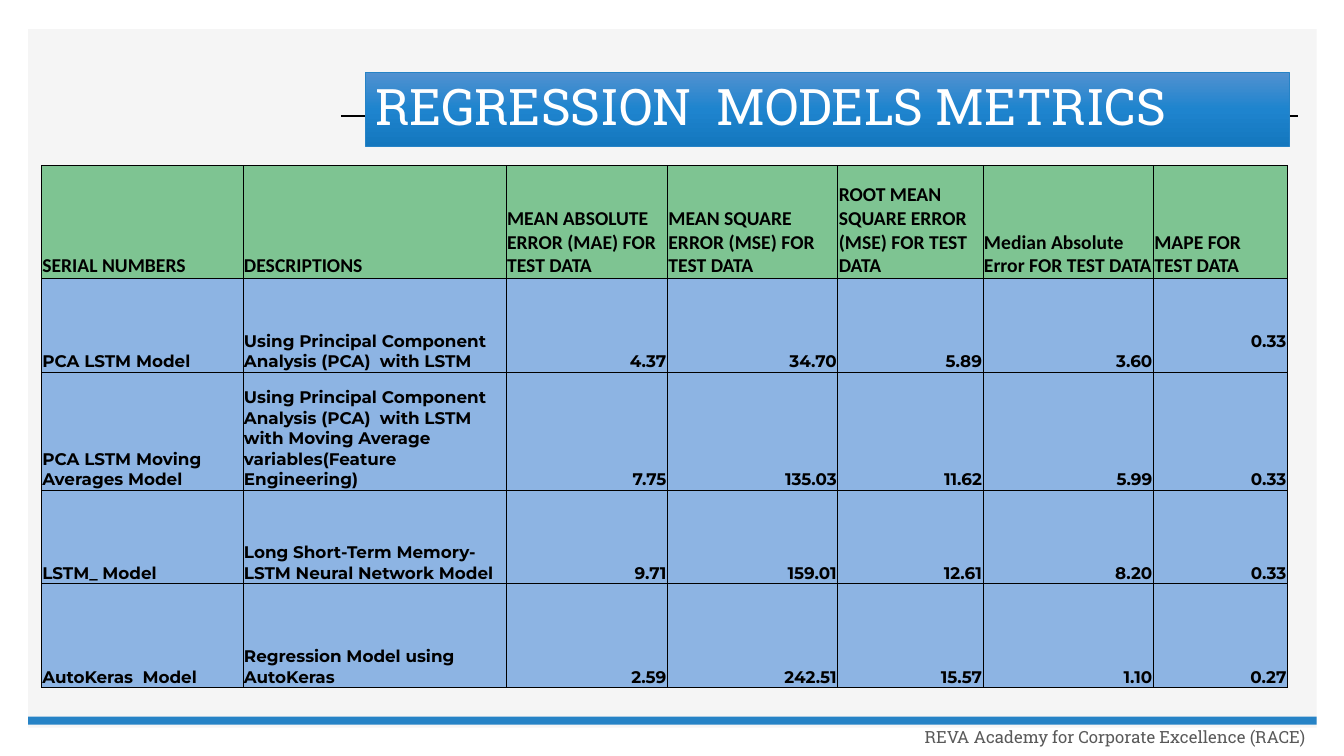
from copy import deepcopy

from lxml import etree
from pptx import Presentation
from pptx.dml.color import RGBColor
from pptx.enum.shapes import MSO_CONNECTOR, MSO_SHAPE
from pptx.enum.text import MSO_ANCHOR, MSO_AUTO_SIZE, PP_ALIGN
from pptx.oxml.ns import qn
from pptx.util import Inches, Pt

LEFT, RIGHT = PP_ALIGN.LEFT, PP_ALIGN.RIGHT
MIDDLE, BOTTOM = MSO_ANCHOR.MIDDLE, MSO_ANCHOR.BOTTOM

BLACK = RGBColor(0x00, 0x00, 0x00)
WHITE = RGBColor(0xFF, 0xFF, 0xFF)
PANEL_GREY = RGBColor(0xF5, 0xF5, 0xF5)
FOOTER_GREY = RGBColor(0x59, 0x59, 0x59)
BLUE = RGBColor(0x26, 0x83, 0xC6)
HEADER_GREEN = RGBColor(0x7E, 0xC4, 0x92)
BODY_BLUE = RGBColor(0x8D, 0xB4, 0xE3)
TITLE_GRADIENT = [
    (0, RGBColor(0x51, 0x91, 0xD0)),
    (0.5, RGBColor(0x1E, 0x84, 0xCE)),
    (1, RGBColor(0x14, 0x77, 0xBE)),
]

TITLE = "REGRESSION  MODELS METRICS"
FOOTER = "REVA Academy for Corporate Excellence (RACE)"
# "\v" is a line break inside a paragraph
METRICS = [
    ("SERIAL NUMBERS", "DESCRIPTIONS",
     "MEAN ABSOLUTE ERROR (MAE) FOR TEST DATA",
     "MEAN SQUARE ERROR (MSE) FOR TEST DATA",
     "ROOT MEAN SQUARE ERROR (MSE) FOR TEST DATA",
     "Median Absolute Error FOR TEST DATA", "MAPE FOR\vTEST DATA"),
    ("PCA LSTM Model", "Using Principal Component Analysis (PCA)  with LSTM",
     "4.37", "34.70", "5.89", "3.60", "0.33\v"),
    ("PCA LSTM Moving Averages Model",
     "Using Principal Component Analysis (PCA)  with LSTM with Moving Average "
     "variables(Feature Engineering)",
     "7.75", "135.03", "11.62", "5.99", "0.33"),
    ("LSTM_ Model", "Long Short-Term Memory-LSTM Neural Network Model",
     "9.71", "159.01", "12.61", "8.20", "0.33"),
    ("AutoKeras  Model", "Regression Model using AutoKeras",
     "2.59", "242.51", "15.57", "1.10", "0.27"),
]
COLUMN_WIDTHS = [2, 2.61, 1.6, 1.69, 1.44, 1.69, 1.33]
ROW_HEIGHTS = [1.12, 0.93, 1.17, 0.93, 1.03]
FIRST_NUMBER_COLUMN = 2


def write(frame, text, font, size, color, bold=False, align=LEFT, spacing=None):
    paragraph = frame.paragraphs[0]
    paragraph.text = text
    paragraph.alignment = align
    if spacing:
        paragraph.line_spacing = spacing
    for run in paragraph.runs:
        run.font.name = font
        run.font.size = Pt(size)
        run.font.color.rgb = color
        run.font.bold = bold
    # Line breaks take the format of the text, so that their lines are as high
    run_format = paragraph.runs[0].font._element
    for line_break in paragraph._p.findall(qn("a:br")):
        line_break.append(deepcopy(run_format))
    if text.endswith("\v"):
        end = etree.SubElement(paragraph._p, qn("a:endParaRPr"), dict(run_format.attrib))
        for child in run_format:
            end.append(deepcopy(child))


def add_block(slide, left, top, width, height, color):
    block = slide.shapes.add_shape(MSO_SHAPE.RECTANGLE, Inches(left), Inches(top),
                                   Inches(width), Inches(height))
    block.shadow.inherit = False
    block.fill.solid()
    block.fill.fore_color.rgb = color
    block.line.fill.background()


def add_rule(slide, left, right, y):
    rule = slide.shapes.add_connector(MSO_CONNECTOR.STRAIGHT, Inches(left), Inches(y),
                                      Inches(right), Inches(y))
    rule.line.color.rgb = BLACK
    rule.line.width = Pt(1)
    etree.SubElement(rule._element.spPr, qn("a:effectLst"))


def add_footer(slide):
    footer = slide.shapes.add_textbox(Inches(8.7), Inches(7.08), Inches(4.35), Inches(0.48))
    frame = footer.text_frame
    frame.word_wrap = True
    frame.vertical_anchor = MIDDLE
    write(frame, FOOTER, "Roboto Slab", 12, FOOTER_GREY, align=RIGHT, spacing=0.9)


def format_title(slide):
    title = slide.shapes.title
    title.left, title.top = Inches(3.62), Inches(0.72)
    title.width, title.height = Inches(9.17), Inches(0.73)
    title.fill.gradient()
    title.fill.gradient_angle = 270
    stops = title._element.spPr.find(".//" + qn("a:gsLst"))
    for stop in list(stops):
        stops.remove(stop)
    for position, color in TITLE_GRADIENT:
        stop = etree.SubElement(stops, qn("a:gs"), pos=str(int(position * 100000)))
        etree.SubElement(stop, qn("a:srgbClr"), val=str(color))
    title.line.color.rgb = BLUE
    title.line.width = Pt(0.5)
    frame = title.text_frame
    frame.auto_size = MSO_AUTO_SIZE.NONE
    frame.word_wrap = True
    frame.vertical_anchor = MIDDLE
    write(frame, TITLE, "Roboto Slab", 36, WHITE, spacing=0.9)
    # Bring the title in front of the panel and the rule
    slide.shapes._spTree.append(title._element)


def add_borders(cell):
    properties = cell._tc.get_or_add_tcPr()
    for side in ("a:lnL", "a:lnR", "a:lnT", "a:lnB"):
        border = etree.SubElement(properties, qn(side), w=str(Pt(0.5)))
        fill = etree.SubElement(border, qn("a:solidFill"))
        etree.SubElement(fill, qn("a:srgbClr"), val=str(BLACK))


def add_metrics_table(slide):
    table = slide.shapes.add_table(
        len(METRICS), len(COLUMN_WIDTHS), Inches(0.41), Inches(1.64),
        Inches(sum(COLUMN_WIDTHS)), Inches(sum(ROW_HEIGHTS))).table
    table.horz_banding = False
    for column, width in zip(table.columns, COLUMN_WIDTHS):
        column.width = Inches(width)
    for row, height in zip(table.rows, ROW_HEIGHTS):
        row.height = Inches(height)
    for r, entries in enumerate(METRICS):
        is_header = r == 0
        font, size = ("Calibri", 14) if is_header else ("Montserrat", 12)
        for c, entry in enumerate(entries):
            cell = table.cell(r, c)
            cell.margin_left = cell.margin_right = cell.margin_top = Inches(0.01)
            cell.margin_bottom = 0
            cell.vertical_anchor = BOTTOM
            add_borders(cell)
            cell.fill.solid()
            cell.fill.fore_color.rgb = HEADER_GREEN if is_header else BODY_BLUE
            is_number = not is_header and c >= FIRST_NUMBER_COLUMN
            write(cell.text_frame, entry, font, size, BLACK, bold=True,
                  align=RIGHT if is_number else LEFT)


def main():
    deck = Presentation()
    deck.slide_width, deck.slide_height = Inches(13.33), Inches(7.5)
    slide = deck.slides.add_slide(deck.slide_layouts[5])
    add_block(slide, 0.28, 0.29, 12.78, 6.93, PANEL_GREY)
    add_rule(slide, 3.38, 12.87, 1.15)
    add_block(slide, 0.28, 7.11, 12.78, 0.08, BLUE)
    add_footer(slide)
    format_title(slide)
    add_metrics_table(slide)
    deck.save("out.pptx")


if __name__ == "__main__":
    main()
